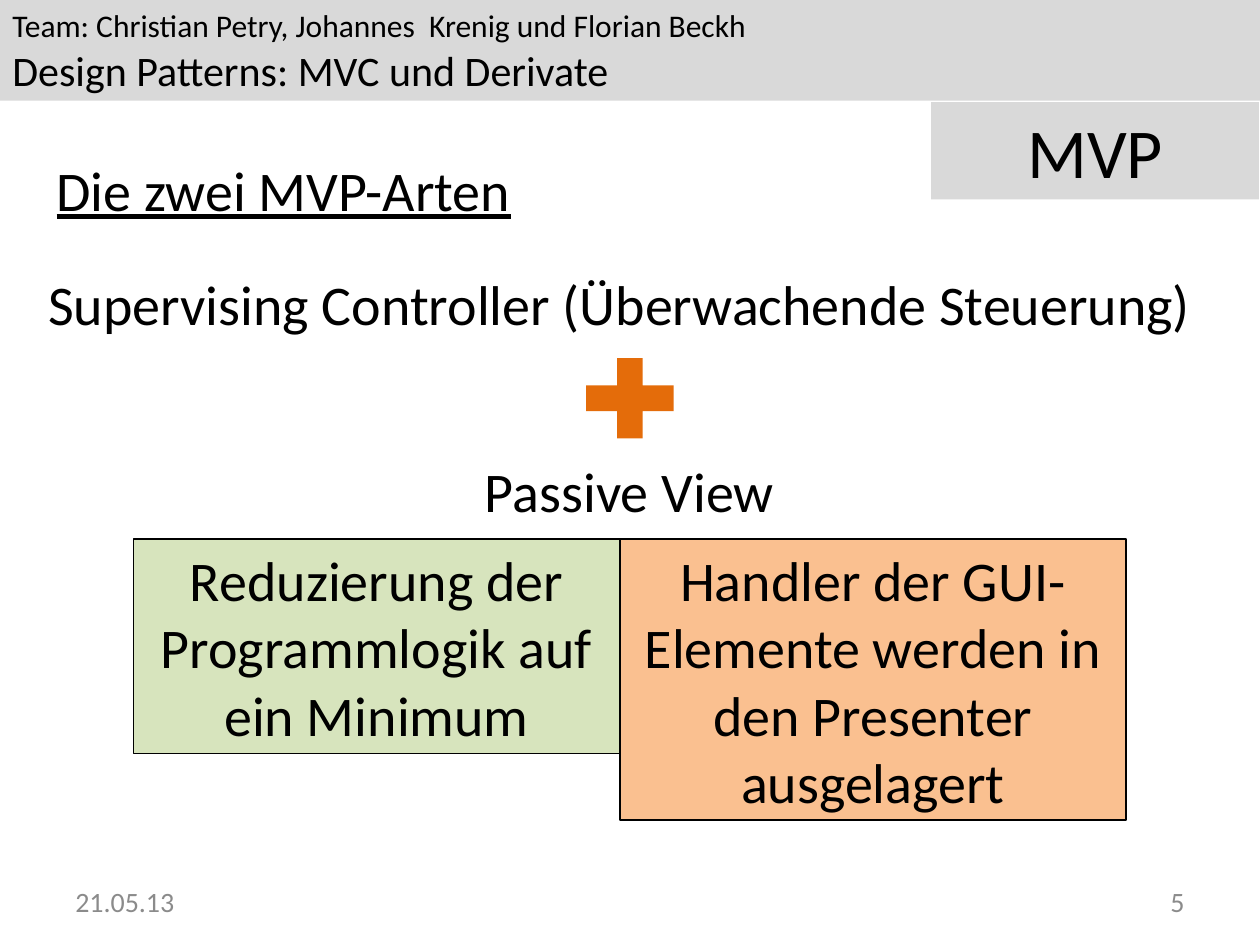
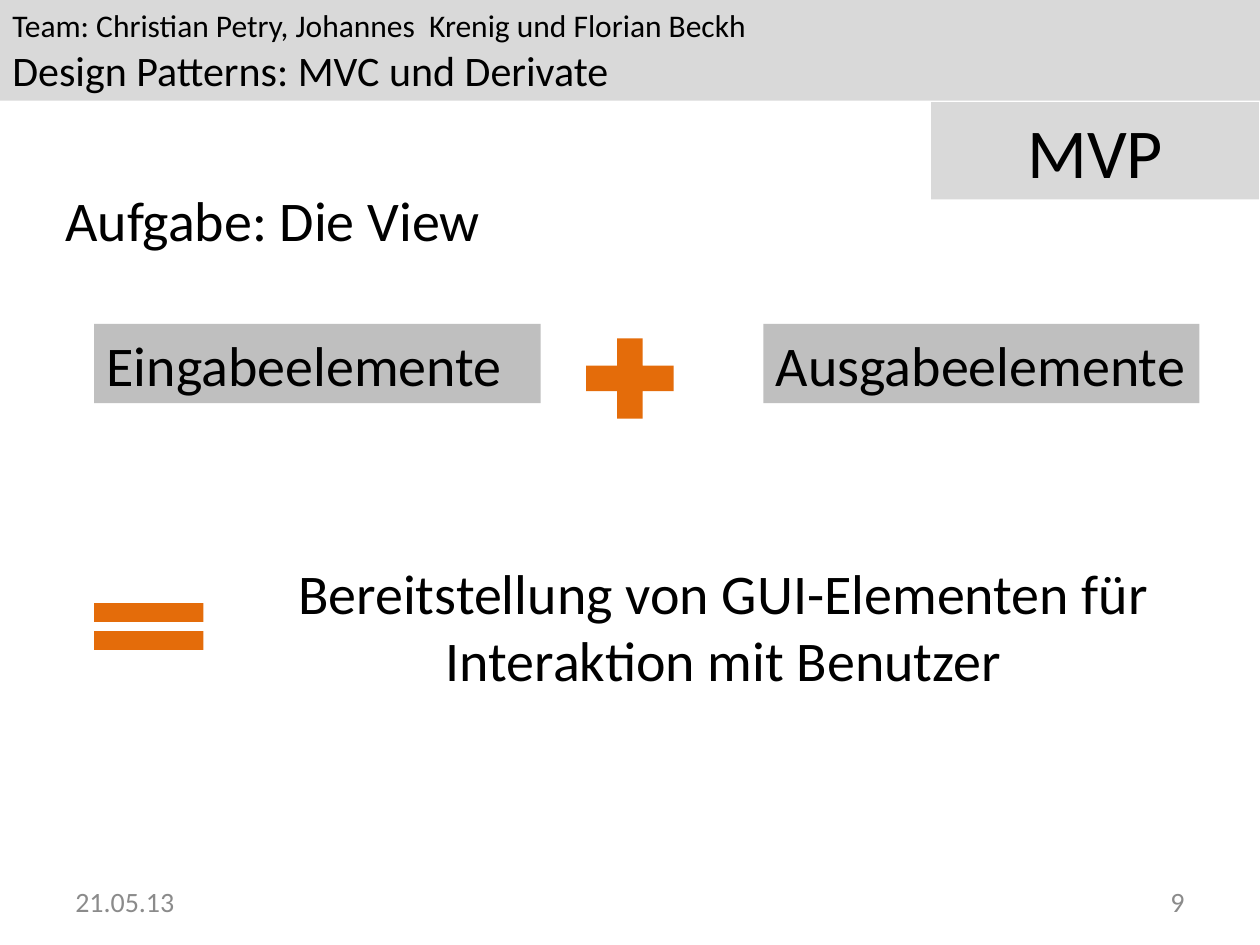
"""Builds two slides on the Model View Presenter pattern."""
from dataclasses import dataclass

from pptx import Presentation
from pptx.dml.color import RGBColor as RGB
from pptx.enum.shapes import MSO_SHAPE as Kind
from pptx.enum.text import MSO_ANCHOR as Anchor, PP_ALIGN as Align
from pptx.util import Cm, Pt


@dataclass(frozen=True)
class Theme:
    font: str = "Calibri"
    ink: str = "000000"
    mute: str = "8B8B8B"
    band: str = "D9D9D9"
    grey: str = "BFBFBF"
    green: str = "D7E4BD"
    peach: str = "FAC090"
    sign: str = "E46C0A"
    tag: int = 40
    body: int = 32
    head: int = 24
    team: int = 18
    foot: int = 16


class Deck:
    def __init__(self, theme):
        self.theme = theme
        self.show = Presentation()
        self.show.slide_width, self.show.slide_height = Cm(25.4), Cm(19.05)
        self.slide = None

    def label(self, shape, lines, align=Align.LEFT, anchor=Anchor.TOP,
              wrap=True, color=None, under=None):
        frame = shape.text_frame
        look = {"word_wrap": wrap, "vertical_anchor": anchor,
                "margin_left": Cm(0.25), "margin_right": Cm(0.25),
                "margin_top": Cm(0.13), "margin_bottom": Cm(0.13)}
        for name, value in look.items():
            setattr(frame, name, value)
        for i, (text, size) in enumerate(lines):
            para = frame.add_paragraph() if i else frame.paragraphs[0]
            para.alignment = align
            run = para.add_run()
            run.text = text
            style = {"name": self.theme.font, "size": Pt(size), "underline": under}
            for name, value in style.items():
                setattr(run.font, name, value)
            run.font.color.rgb = RGB.from_string(color or self.theme.ink)

    def shape(self, kind, place, fill, line=False):
        item = self.slide.shapes.add_shape(kind, *map(Cm, place))
        item.shadow.inherit = False
        item.fill.solid()
        item.fill.fore_color.rgb = RGB.from_string(fill)
        if line:
            item.line.color.rgb = RGB.from_string(self.theme.ink)
            item.line.width = Pt(1)
        else:
            item.line.fill.background()
        return item

    def box(self, place, fill, *lines, line=False, **style):
        self.label(self.shape(Kind.RECTANGLE, place, fill, line), lines, **style)

    def text(self, place, text, size=None, **style):
        item = self.slide.shapes.add_textbox(*map(Cm, place))
        self.label(item, [(text, size or self.theme.body)], **style)

    def page(self, title, left, top, number, under=None):
        look = self.theme
        self.slide = self.show.slides.add_slide(self.show.slide_layouts[6])
        self.box((0, 0, 25.4, 2.03), look.band,
                 ("Team: Christian Petry, Johannes  Krenig und Florian Beckh", look.team),
                 ("Design Patterns: MVC und Derivate", look.head))
        self.box((18.77, 2.06, 6.61, 1.96), look.band, ("MVP", look.tag),
                 align=Align.CENTER)
        self.text((left, top, 22.86, 2.59), title, anchor=Anchor.MIDDLE, under=under)
        for x, note, side in ((1.27, "21.05.13", Align.LEFT),
                              (18.21, number, Align.RIGHT)):
            self.text((x, 17.65, 5.92, 1.02), note, look.foot, align=side,
                      anchor=Anchor.MIDDLE, color=look.mute)

    def plus(self, top):
        self.shape(Kind.MATH_PLUS, (11.5, top, 2.4, 2.2), self.theme.sign)

    def equal(self, place):
        self.shape(Kind.MATH_EQUAL, place, self.theme.sign)


def main():
    look = Theme()
    deck = Deck(look)

    deck.page("Die zwei MVP-Arten", 0.89, 2.51, "5", under=True)
    deck.text((2.69, 9.07, 20, 1.8), "Passive View", align=Align.CENTER)
    for x, wide, high, fill, text in (
            (2.69, 9.81, 4.32, look.green,
             "Reduzierung der Programmlogik auf ein Minimum"),
            (12.5, 10.2, 5.66, look.peach,
             "Handler der GUI-Elemente werden in den Presenter ausgelagert")):
        deck.box((x, 10.87, wide, high), fill, (text, look.body),
                 line=True, align=Align.CENTER)
    deck.text((0.6, 5.31, 23.8, 1.63), "Supervising Controller (Überwachende Steuerung)",
              align=Align.CENTER, wrap=False)
    deck.plus(6.93)

    deck.page("Aufgabe: Die View", 1.07, 3.12, "9")
    deck.text((5.49, 11.13, 18.2, 3), align=Align.CENTER,
              text="Bereitstellung von GUI-Elementen für Interaktion mit Benutzer")
    deck.equal((1.5, 11.83, 3, 1.6))
    for x, wide, text in ((1.9, 9, "Eingabeelemente"), (15.39, 8.79, "Ausgabeelemente")):
        deck.box((x, 6.53, wide, 1.6), look.grey, (text, look.body))
    deck.plus(6.53)

    deck.show.save("out.pptx")


if __name__ == "__main__":
    main()
